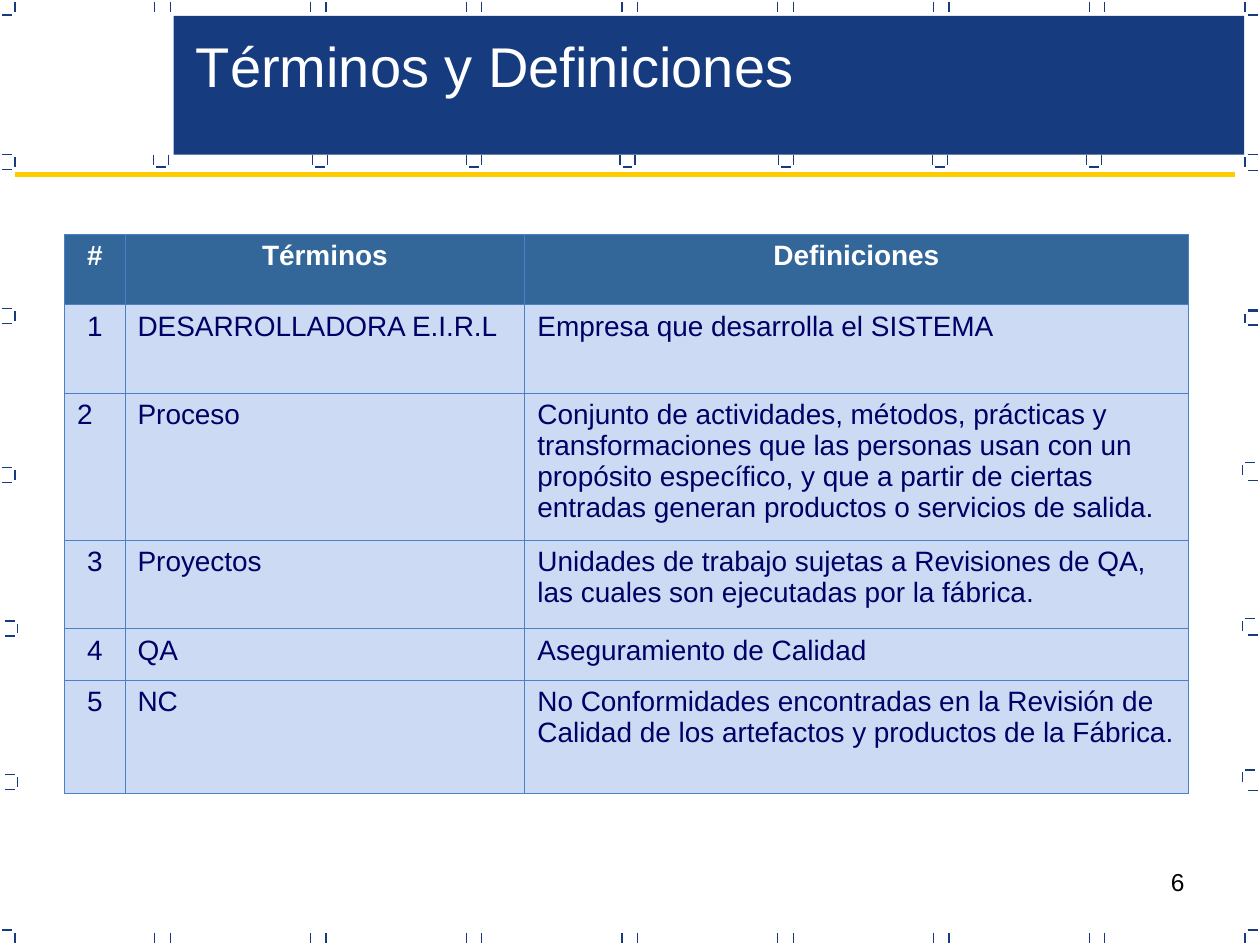
from lxml import etree
from pptx import Presentation
from pptx.dml.color import RGBColor
from pptx.enum.shapes import MSO_CONNECTOR, MSO_SHAPE
from pptx.enum.text import MSO_ANCHOR, PP_ALIGN
from pptx.oxml import parse_xml
from pptx.oxml.ns import nsdecls, qn
from pptx.util import Cm, Pt

LINE = MSO_CONNECTOR.STRAIGHT
RECT = MSO_SHAPE.RECTANGLE
TOP = MSO_ANCHOR.TOP
LEFT, MID, RIGHT = PP_ALIGN.LEFT, PP_ALIGN.CENTER, PP_ALIGN.RIGHT

COLORS = {
    "navy": "163B7F", "gold": "FFCC00", "white": "FFFFFF", "black": "000000",
    "head": "336699", "body": "CDDAF3", "ink": "000066", "edge": "4782C9",
}
WIDE, HIGH = 25.4, 19.05
GAP, TICK = 0.05, 0.2
CORNER = GAP + TICK + GAP

COLS = [1.22, 8.06, 13.37]
ROWS = [1.42, 1.78, 2.96, 1.79, 1.04, 2.29]
TERMS = [
    ("#", "Términos", "Definiciones"),
    ("1", "DESARROLLADORA E.I.R.L", "Empresa que desarrolla el SISTEMA"),
    ("2", "Proceso",
     "Conjunto de actividades, métodos, prácticas y transformaciones que las "
     "personas usan con un propósito específico, y que a partir de ciertas "
     "entradas generan productos o servicios de salida."),
    ("3", "Proyectos",
     "Unidades de trabajo sujetas a Revisiones de QA, las cuales son "
     "ejecutadas por la fábrica."),
    ("4", "QA", "Aseguramiento de Calidad"),
    ("5", "NC",
     "No Conformidades encontradas en la Revisión de Calidad de los "
     "artefactos y productos de la Fábrica."),
]


def rgb(name):
    return RGBColor.from_string(COLORS[name])


def write(frame, text, size=16, color="ink", bold=False, align=LEFT, wrap=True):
    frame.word_wrap = wrap
    para = frame.paragraphs[0]
    para.alignment = align
    run = para.add_run()
    run.text = text
    font = run.font
    font.name, font.size, font.bold = "Arial", Pt(size), bold
    font.color.rgb = rgb(color)


def label(slide, box, text, **style):
    shape = slide.shapes.add_textbox(*map(Cm, box))
    shape.text_frame.vertical_anchor = TOP
    write(shape.text_frame, text, **style)


def stroke(slide, x, y, dx=0, dy=0, color="navy", width=0.75):
    line = slide.shapes.add_connector(LINE, Cm(x), Cm(y), Cm(x + dx), Cm(y + dy))
    line.line.color.rgb = rgb(color)
    line.line.width = Pt(width)
    etree.SubElement(line._element.spPr, qn("a:effectLst"))


def side(slide, x, top, low, right=False, shift=0):
    """Draw a side bracket; shift moves its low bar sideways."""
    bar = x + GAP if right else x
    post = x if right else x + TICK + GAP
    stroke(slide, bar, top, dx=TICK)
    stroke(slide, post, top + GAP, dy=TICK)
    stroke(slide, bar + shift, low, dx=TICK)


def cup(slide, x, y):
    for post in (x, x + CORNER):
        stroke(slide, post, y, dy=TICK)
    stroke(slide, x + GAP, y + TICK + GAP, dx=TICK)


def frame(slide, box):
    """Draw the dashes along all four edges of the box."""
    x, y, w, h = box
    end = x + w - CORNER
    foot = y + h - GAP - TICK
    pairs = [x + 3.12 + 3.14 * i + d for i in range(7) for d in (0, 0.31)]
    for post in [x + CORNER, *pairs, end]:
        stroke(slide, post, y + GAP, dy=TICK)
        stroke(slide, post, foot, dy=TICK)
    for bar in (x + GAP, end + GAP):
        stroke(slide, bar, y + CORNER, dx=TICK)
        stroke(slide, bar, foot - GAP, dx=TICK)
    for inset, top in ((0.05, 3.12), (0.05, 6.22), (0.05, 9.42),
                       (0.1, 12.52), (0.1, 15.62)):
        side(slide, x + inset, y + top, y + top + CORNER)
    for inset, top, low in ((0, 3.12, 3.43), (0, 6.27, 6.55), (0.05, 9.32, 9.68),
                            (0.05, 12.47, 12.8), (0.05, 15.52, 15.93)):
        side(slide, end - inset, y + top, y + low, right=True, shift=inset)
    stroke(slide, end + GAP, y + 6.24, dx=TICK)


def banner(slide, box):
    x, y, w, h = box
    shape = slide.shapes.add_shape(RECT, *map(Cm, box))
    shape.shadow.inherit = False
    shape.fill.solid()
    shape.fill.fore_color.rgb = rgb("navy")
    shape.line.fill.background()
    for dx in (-0.4, 2.8, 5.9, 9, 12.2, 15.3, 18.4):
        cup(slide, x + dx, y + h)
    label(slide, (x + 0.2, y + 0.2, 12.58, 1.62), "Términos y Definiciones",
          size=32, color="white", wrap=False)
    stroke(slide, x - 3.2, y + h + 0.4, dx=24.6, color="gold", width=3)


def paint(cell, fill):
    cell.fill.solid()
    cell.fill.fore_color.rgb = rgb(fill)
    props = cell._tc.get_or_add_tcPr()
    for i, edge in enumerate(("lnL", "lnR", "lnT", "lnB")):
        props.insert(i, parse_xml(
            f'<a:{edge} {nsdecls("a")} w="{Pt(0.45)}"><a:solidFill>'
            f'<a:srgbClr val="{COLORS["edge"]}"/></a:solidFill></a:{edge}>'))


def terms(slide, box):
    table = slide.shapes.add_table(len(ROWS), len(COLS), *map(Cm, box)).table
    for col, width in zip(table.columns, COLS):
        col.width = Cm(width)
    for r, (row, height) in enumerate(zip(table.rows, ROWS)):
        row.height = Cm(height)
        head = r == 0
        for c, text in enumerate(TERMS[r]):
            cell = table.cell(r, c)
            paint(cell, "head" if head else "body")
            centred = head or (c == 0 and text != "2")
            write(cell.text_frame, text, bold=head,
                  color="white" if head else "ink",
                  align=MID if centred else LEFT)


def main():
    deck = Presentation()
    deck.slide_width, deck.slide_height = Cm(WIDE), Cm(HIGH)
    slide = deck.slides.add_slide(deck.slide_layouts[6])
    label(slide, (18.2, 17.35, 5.93, 1.32), "6",
          size=14, color="black", align=RIGHT)
    frame(slide, (0, 0, WIDE, HIGH))
    banner(slide, (3.5, 0.32, 21.58, 2.8))
    terms(slide, (1.3, 4.72, sum(COLS), sum(ROWS)))
    deck.save("out.pptx")


if __name__ == "__main__":
    main()
